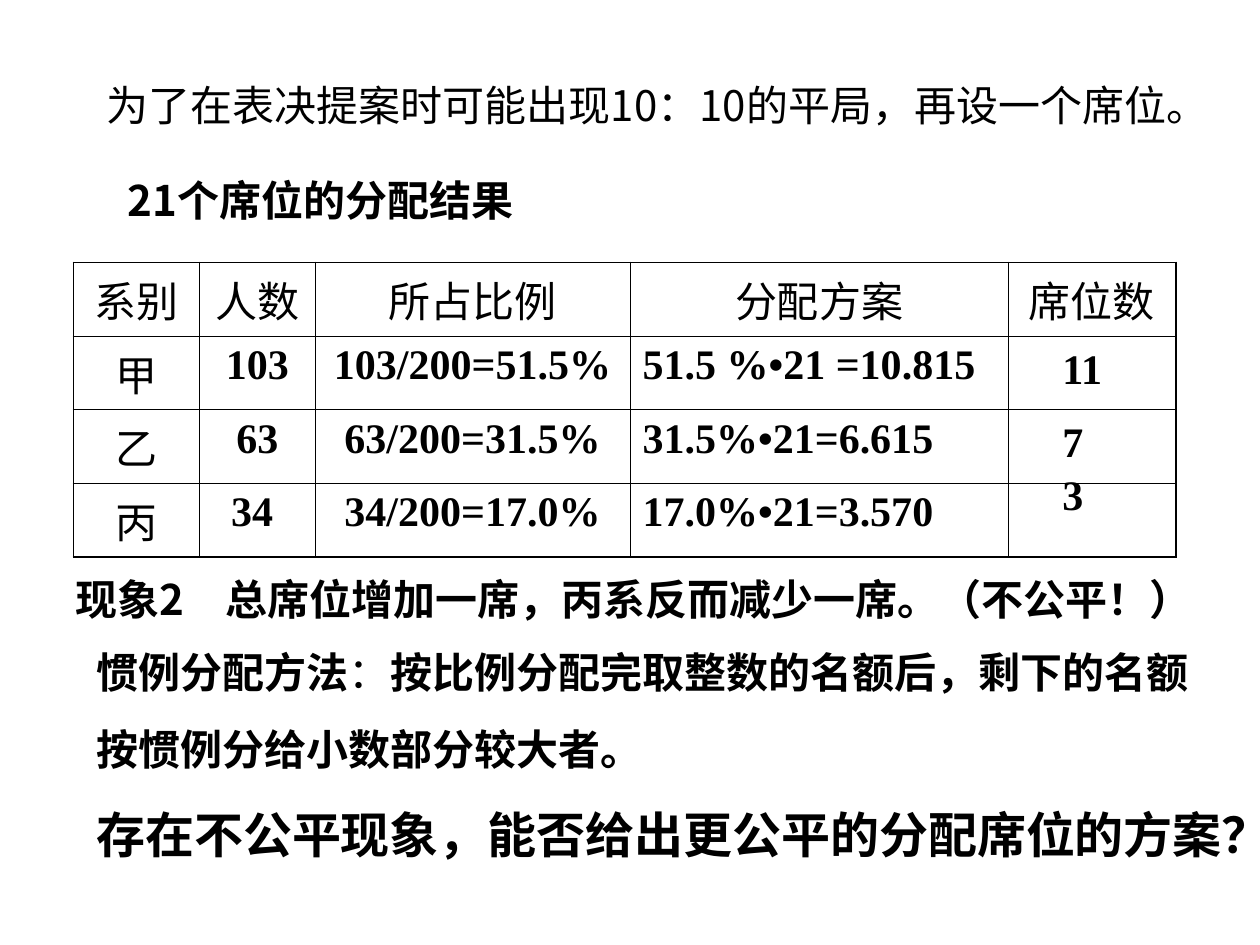
"""Build the slide on allocating 21 seats among three departments."""
from lxml.etree import SubElement
from pptx import Presentation
from pptx.dml.color import RGBColor
from pptx.enum.shapes import MSO_SHAPE
from pptx.enum.text import MSO_AUTO_SIZE, PP_ALIGN
from pptx.oxml.ns import qn
from pptx.util import Pt

SANS, SERIF, TABLE_SANS = "Noto Sans CJK SC", "Times New Roman", "DejaVu Sans"
BLACK, WHITE = "000000", "FFFFFF"


def color(hex_value):
    return RGBColor.from_string(hex_value)


def format_runs(paragraph, font_name, bold, size=24):
    for run in paragraph.runs:
        run.font.name = font_name
        run.font.size = Pt(size)
        run.font.bold = bold
        run.font.color.rgb = color(BLACK)
        SubElement(run.font._element, qn("a:ea"), typeface=SANS)


presentation = Presentation()
presentation.slide_width, presentation.slide_height = Pt(720), Pt(540)
slide = presentation.slides.add_slide(presentation.slide_layouts[6])

rows = [
    ["系别", "人数", "所占比例", "分配方案", "席位数"],
    ["甲", "103", "103/200=51.5%", "51.5 %•21 =10.815", ""],
    ["乙", "63", "63/200=31.5%", "31.5%•21=6.615", ""],
    ["丙", "34 ", "34/200=17.0%", "17.0%•21=3.570", ""],
]
column_widths = [72, 66, 180, 216, 96]
last_row, last_column = len(rows) - 1, len(column_widths) - 1
table = slide.shapes.add_table(
    len(rows), len(column_widths), Pt(42), Pt(150), Pt(sum(column_widths)), Pt(160)
).table
for column, width in zip(table.columns, column_widths):
    column.width = Pt(width)
for row_index, texts in enumerate(rows):
    for column_index, text in enumerate(texts):
        cell = table.cell(row_index, column_index)
        cell.margin_left = cell.margin_right = Pt(7.2)
        cell.margin_top = cell.margin_bottom = Pt(3.6)
        cell.text_frame.text = text
        paragraph = cell.text_frame.paragraphs[0]
        is_label = row_index == 0 or column_index == 0
        if row_index == 0 or column_index < 3:
            paragraph.alignment = PP_ALIGN.CENTER
        format_runs(paragraph, TABLE_SANS if is_label else SERIF, not is_label)
        outer_sides = {
            "a:lnL": column_index == 0,
            "a:lnR": column_index == last_column,
            "a:lnT": row_index == 0,
            "a:lnB": row_index == last_row,
        }
        properties = cell._tc.get_or_add_tcPr()
        for tag, is_outer in outer_sides.items():
            border = SubElement(properties, qn(tag), w=str(Pt(1.08 if is_outer else 0.45)))
            SubElement(SubElement(border, qn("a:solidFill")), qn("a:srgbClr"), val=BLACK)
        cell.fill.background()

text_boxes = [
    (54, 42, 652, "为了在表决提案时可能出现10：10的平局，再设一个席位。", SANS, False),
    (66, 96, 576, "21个席位的分配结果", SANS, True),
    (600, 192, 48, "11", SERIF, True),
    (600, 234, 48, "7", SERIF, True),
    (600, 264, 54, "3", SERIF, True),
]
for left, top, width, text, font_name, bold in text_boxes:
    text_frame = slide.shapes.add_textbox(Pt(left), Pt(top), Pt(width), Pt(36)).text_frame
    text_frame.word_wrap = True
    text_frame.auto_size = MSO_AUTO_SIZE.SHAPE_TO_FIT_TEXT
    text_frame.text = text
    format_runs(text_frame.paragraphs[0], font_name, bold)

finding = slide.shapes.add_shape(MSO_SHAPE.RECTANGLE, Pt(36), Pt(324), Pt(684), Pt(36))
finding.shadow.inherit = False
finding.fill.solid()
finding.fill.fore_color.rgb = color(WHITE)
finding.line.fill.background()
finding.text_frame.word_wrap = True
finding.text_frame.text = "现象2\t总席位增加一席，丙系反而减少一席。（不公平！）"
paragraph = finding.text_frame.paragraphs[0]
paragraph.alignment = PP_ALIGN.LEFT
tab_list = SubElement(paragraph._p.get_or_add_pPr(), qn("a:tabLst"))
SubElement(tab_list, qn("a:tab"), pos=str(Pt(86)), algn="l")
format_runs(paragraph, SANS, True)

method_frame = slide.shapes.add_textbox(Pt(48), Pt(366), Pt(672), Pt(131)).text_frame
method_frame.word_wrap = True
method_frame.auto_size = MSO_AUTO_SIZE.SHAPE_TO_FIT_TEXT
method_frame.text = "惯例分配方法"
method = method_frame.paragraphs[0]
for text in ["：", "按比例分配完取整数的名额后，剩下的名额"]:
    method.add_run().text = text
format_runs(method, SERIF, True)
method.runs[1].font.bold = False
for text, size, space in [
    ("按惯例分给小数部分较大者。", 24, 15),
    ("存在不公平现象，能否给出更公平的分配席位的方案？", 28, 17.5),
]:
    paragraph = method_frame.add_paragraph()
    paragraph.text = text
    paragraph.space_before = Pt(space)
    format_runs(paragraph, SERIF, True, size)

presentation.save("out.pptx")
